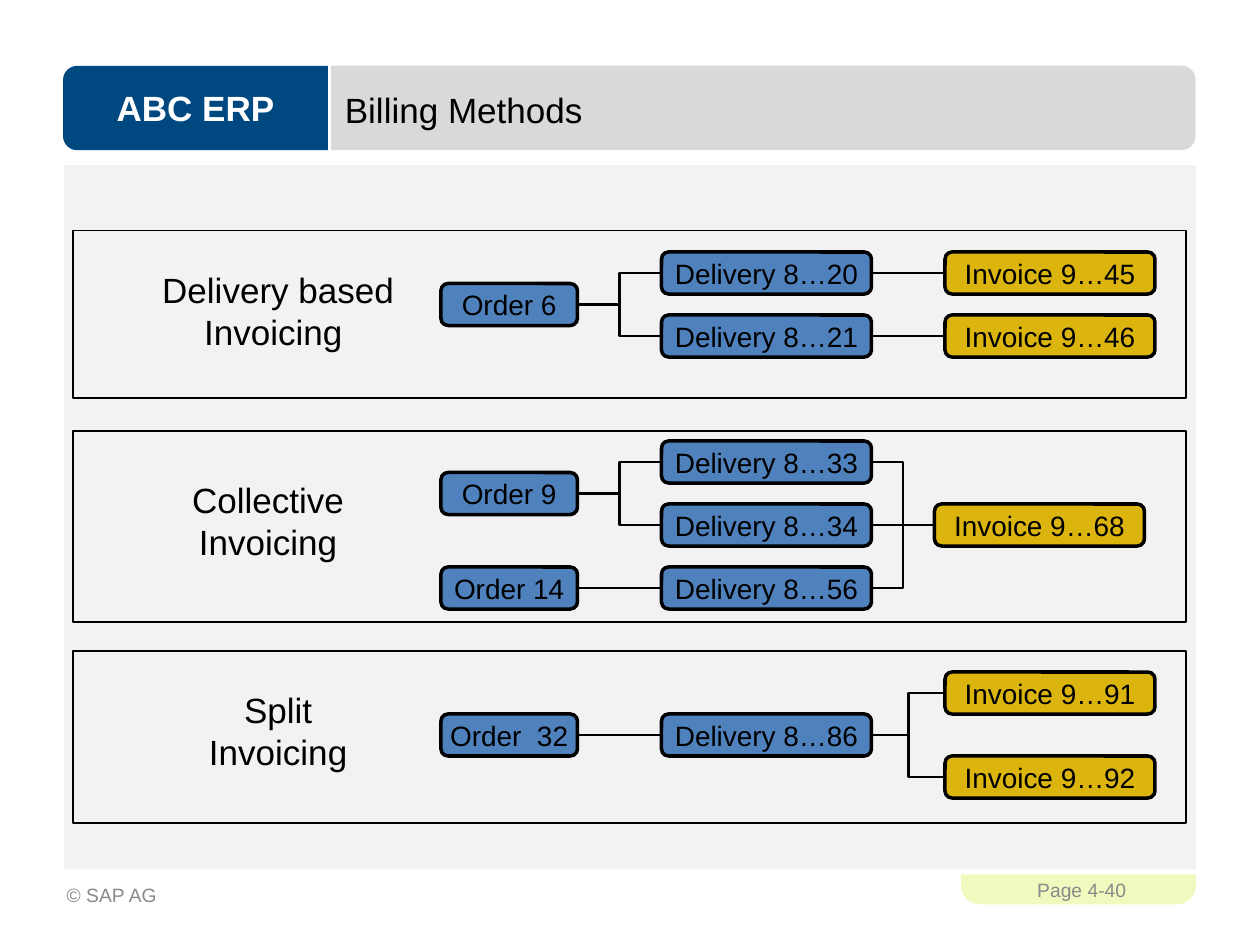
"""Builds the Billing Methods slide with three document flow diagrams."""
from lxml.etree import SubElement
from pptx import Presentation
from pptx.dml.color import RGBColor
from pptx.enum.shapes import MSO_CONNECTOR, MSO_SHAPE
from pptx.enum.text import MSO_ANCHOR, PP_ALIGN
from pptx.oxml.ns import qn
from pptx.util import Pt

COLORS = {
    "black": "000000", "white": "FFFFFF", "panel": "F2F2F2", "navy": "004880",
    "silver": "D9D9D9", "lime": "F1FABE", "muted": "898989",
    "blue": "4F81BD", "gold": "DBB40D",
}
INSETS = {
    "margin_left": Pt(7.2), "margin_right": Pt(7.2),
    "margin_top": Pt(3.6), "margin_bottom": Pt(3.6),
}
NODE_HEIGHT = 24
COLUMNS = {"Order": (252, 78, "blue"), "Delivery": (378, 120, "blue"), "Invoice": (540, 120, "gold")}
METHODS = [
    {
        "frame": (131.8, 95.8),
        "label": (["Delivery based Invoicing "], 149.8, 210),
        "nodes": {"Order 6": 162, "Delivery 8…20": 144, "Delivery 8…21": 180,
                  "Invoice 9…45": 144, "Invoice 9…46": 180},
        "links": [("Order 6", "Delivery 8…20"), ("Order 6", "Delivery 8…21"),
                  ("Delivery 8…20", "Invoice 9…45"), ("Delivery 8…21", "Invoice 9…46")],
    },
    {
        "frame": (246.2, 109.4),
        "label": (["Collective ", "Invoicing "], 270, 204),
        "nodes": {"Order 9": 270, "Order 14": 324, "Delivery 8…33": 252,
                  "Delivery 8…34": 288, "Delivery 8…56": 324, "Invoice 9…68": 288},
        "links": [("Order 9", "Delivery 8…33"), ("Order 9", "Delivery 8…34"),
                  ("Order 14", "Delivery 8…56"), ("Delivery 8…33", "Invoice 9…68"),
                  ("Delivery 8…34", "Invoice 9…68"), ("Delivery 8…56", "Invoice 9…68")],
        "invoice_shift": -6,
    },
    {
        "frame": (372.2, 98),
        "label": (["Split", "Invoicing"], 390, 210),
        "nodes": {"Order  32": 408, "Delivery 8…86": 408,
                  "Invoice 9…91": 384, "Invoice 9…92": 432},
        "links": [("Order  32", "Delivery 8…86"), ("Delivery 8…86", "Invoice 9…91"),
                  ("Delivery 8…86", "Invoice 9…92")],
    },
]


def color(name):
    """Return the named colour."""
    return RGBColor.from_string(COLORS[name])


def apply_format(target, values):
    """Set every attribute in values on target."""
    for name, value in values.items():
        setattr(target, name, value)


def write(box, lines, size=20, ink="black", align=PP_ALIGN.CENTER,
          anchor=MSO_ANCHOR.MIDDLE, wrap=True, bold=False):
    """Fill a box with one paragraph per line."""
    frame = box.text_frame
    apply_format(frame, {**INSETS, "word_wrap": wrap, "vertical_anchor": anchor})
    for index, line in enumerate(lines):
        para = frame.paragraphs[0] if index == 0 else frame.add_paragraph()
        para.alignment = align
        span = para.add_run()
        span.text = line
        apply_format(span.font, {"name": "Arial", "size": Pt(size), "bold": bold})
        span.font.color.rgb = color(ink)


def add_text(page, area, lines, **style):
    """Add a text box."""
    write(page.shapes.add_textbox(*map(Pt, area)), lines, **style)


def add_box(page, kind, area, fill=None, outline=None, corner=None):
    """Add a preset shape with an optional fill, outline and corner ratio."""
    box = page.shapes.add_shape(kind, *map(Pt, area))
    box.shadow.inherit = False
    if fill:
        box.fill.solid()
        box.fill.fore_color.rgb = color(fill)
    else:
        box.fill.background()
    if outline:
        box.line.color.rgb = color("black")
        box.line.width = Pt(outline)
    else:
        box.line.fill.background()
    if corner is not None:
        box.adjustments[0] = corner
    return box


def add_tab(page, area, fill, rotation):
    """Add a bar whose two corners on one end are rounded."""
    left, top, width, height = area
    upright = (left + (width - height) / 2, top + (height - width) / 2, height, width)
    add_box(page, MSO_SHAPE.ROUND_2_SAME_RECTANGLE, upright, fill).rotation = rotation


def add_link(page, source, target):
    """Join the right side of source to the left side of target."""
    kind = MSO_CONNECTOR.STRAIGHT if source.top == target.top else MSO_CONNECTOR.ELBOW
    link = page.shapes.add_connector(kind, 0, 0, 0, 0)
    link.begin_connect(source, 3)
    link.end_connect(target, 1)
    link.line.color.rgb = color("black")
    link.line.width = Pt(1.5)
    SubElement(link._element.spPr, qn("a:effectLst"))


def add_method(page, frame, label, nodes, links, invoice_shift=0):
    """Add one framed billing method with its document flow."""
    top, height = frame
    add_box(page, MSO_SHAPE.RECTANGLE, (41.8, top, 635.8, height), outline=1)
    lines, label_top, label_width = label
    add_text(page, (54, label_top, label_width, 55.4), lines, anchor=MSO_ANCHOR.TOP)
    boxes = {}
    for name, node_top in nodes.items():
        column = name.split()[0]
        left, width, fill = COLUMNS[column]
        if column == "Invoice":
            left += invoice_shift
        boxes[name] = add_box(page, MSO_SHAPE.ROUNDED_RECTANGLE,
                              (left, node_top, width, NODE_HEIGHT), fill, 2, 0.17)
        write(boxes[name], [name], size=16, wrap=False)
    for source, target in links:
        add_link(page, boxes[source], boxes[target])


def add_background(page):
    """Add the footer tag, the content panel and the header bars."""
    add_box(page, MSO_SHAPE.ROUNDED_RECTANGLE, (549.2, 488, 134.2, 28.8), "lime", corner=0.37)
    add_box(page, MSO_SHAPE.RECTANGLE, (540.7, 482.4, 160.6, 17.3), "white")
    add_box(page, MSO_SHAPE.RECTANGLE, (36.7, 94.3, 646.6, 402.5), "panel")
    add_tab(page, (36, 37.6, 151.4, 48.2), "navy", 270)
    add_tab(page, (189.2, 37.6, 494, 48.2), "silver", 90)


def add_captions(page):
    """Add the header and footer texts."""
    add_text(page, (36, 37.6, 151.4, 48.2), ["ABC ERP"], ink="white", bold=True)
    add_text(page, (190, 38.9, 480.2, 46.8), ["Billing Methods"], align=PP_ALIGN.LEFT)
    add_text(page, (553, 493.9, 130.3, 28.8), ["Page 4-40"], size=11, ink="muted")
    add_text(page, (31, 496.8, 324.7, 28.8), ["© SAP AG"], size=11, ink="muted",
             align=PP_ALIGN.LEFT)


def main():
    """Build and save the deck."""
    deck = Presentation()
    apply_format(deck, {"slide_width": Pt(720), "slide_height": Pt(540)})
    page = deck.slides.add_slide(deck.slide_layouts[6])
    add_background(page)
    add_captions(page)
    for method in METHODS:
        add_method(page, **method)
    deck.save("out.pptx")


if __name__ == "__main__":
    main()
